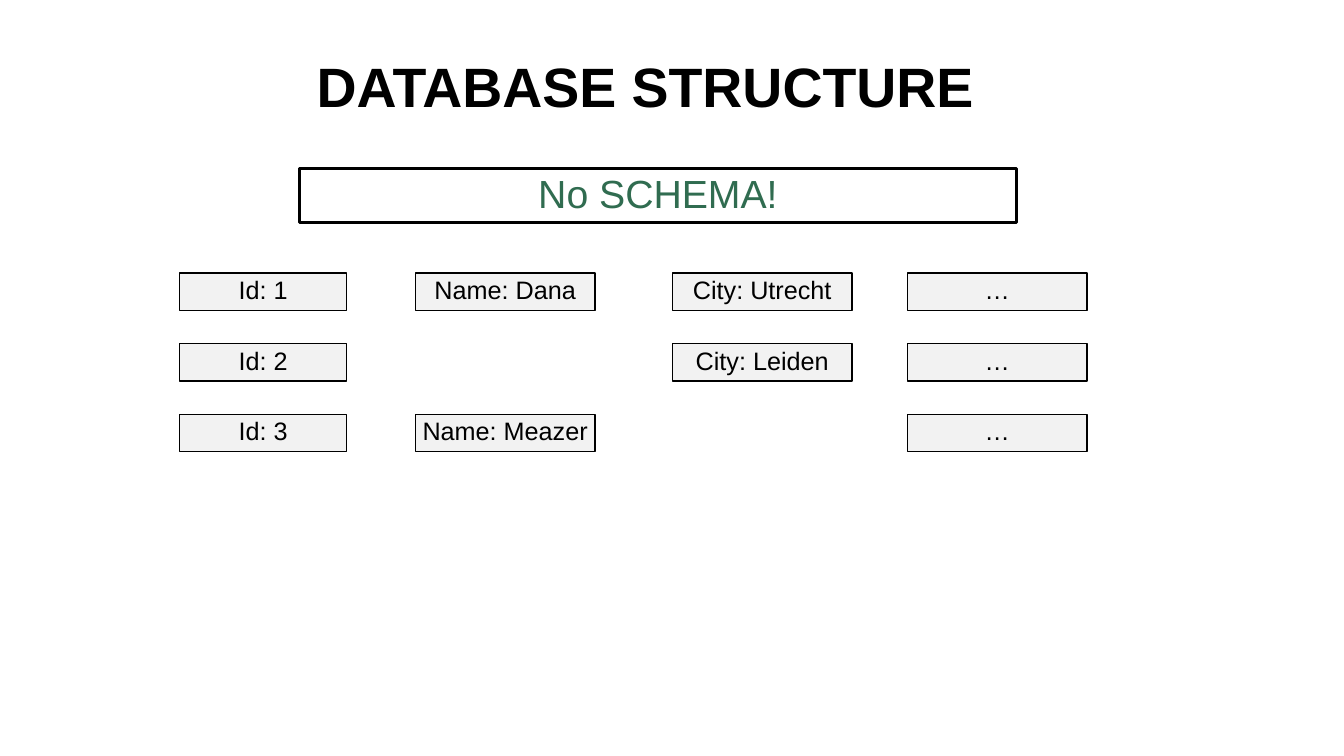
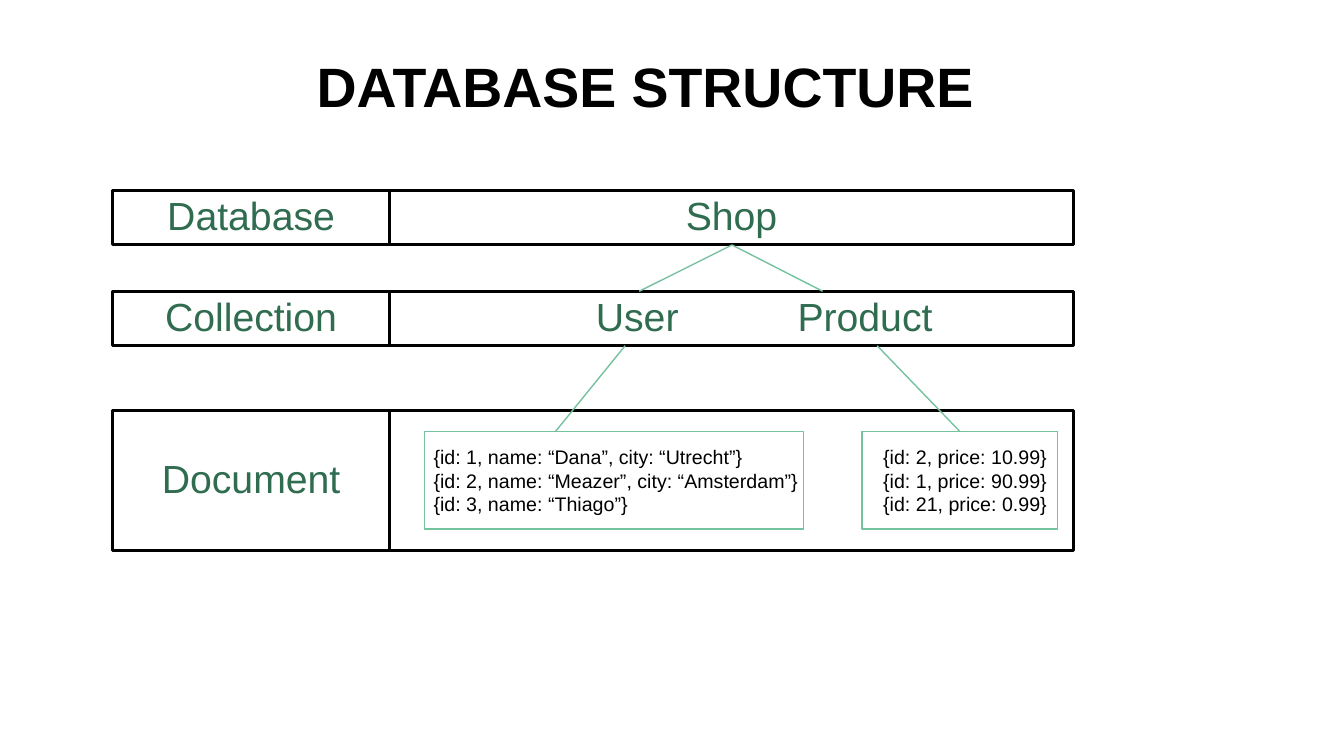
import pptx
import pptx.dml.color
import pptx.enum.shapes
import pptx.enum.text
import pptx.oxml.ns
import pptx.util
from lxml import etree

RGBColor = pptx.dml.color.RGBColor
ALIGN = pptx.enum.text.PP_ALIGN
ANCHOR = pptx.enum.text.MSO_ANCHOR

BLACK = RGBColor(0x00, 0x00, 0x00)
WHITE = RGBColor(0xFF, 0xFF, 0xFF)
GREEN = RGBColor(0x30, 0x6C, 0x50)
MINT = RGBColor(0x75, 0xC2, 0x9E)
PALE_GREY = RGBColor(0xF2, 0xF2, 0xF2)

FONT = "Arial"
TITLE = "DATABASE STRUCTURE"
TITLE_BOX = (309, 44, 688, 89)
INSET = 5


def px(length):
    """One px is a hundredth of an inch."""
    return pptx.util.Emu(length * 9144)


def write(shape, text, size, color, align=ALIGN.CENTER, anchor=ANCHOR.MIDDLE,
          bold=False, spacing=0.9, left=INSET, right=INSET, tabs=()):
    frame = shape.text_frame
    frame.text = text
    frame.word_wrap = True
    frame.auto_size = pptx.enum.text.MSO_AUTO_SIZE.NONE
    frame.vertical_anchor = anchor
    frame.margin_left, frame.margin_right = px(left), px(right)
    frame.margin_top = frame.margin_bottom = px(INSET)
    for paragraph in frame.paragraphs:
        if tabs:
            tab_list = etree.SubElement(paragraph._p.get_or_add_pPr(),
                                        pptx.oxml.ns.qn("a:tabLst"))
            for stop in tabs:
                etree.SubElement(tab_list, pptx.oxml.ns.qn("a:tab"),
                                 pos=str(px(stop)), algn="l")
        paragraph.alignment = align
        paragraph.line_spacing = spacing
        for run in paragraph.runs:
            run.font.name = FONT
            run.font.size = pptx.util.Pt(size)
            run.font.bold = bold
            run.font.color.rgb = color


def add_titled_slide(deck):
    slide = deck.slides.add_slide(deck.slide_layouts[5])
    title = slide.shapes.title
    title.left, title.top, title.width, title.height = map(px, TITLE_BOX)
    write(title, TITLE, 39.6, BLACK, ALIGN.LEFT, bold=True)
    return slide


def add_box(slide, box, line, weight, fill=None):
    shape = slide.shapes.add_shape(
        pptx.enum.shapes.MSO_SHAPE.RECTANGLE, *map(px, box))
    shape.shadow.inherit = False
    if fill is None:
        shape.fill.background()
    else:
        shape.fill.solid()
        shape.fill.fore_color.rgb = fill
    shape.line.color.rgb = line
    shape.line.width = pptx.util.Pt(weight)
    return shape


def add_heading_box(slide, box, text, **style):
    heading = add_box(slide, box, BLACK, 2.25)
    if text:
        write(heading, text, 28, GREEN, **style)


def add_link(slide, start, end):
    link = slide.shapes.add_connector(
        pptx.enum.shapes.MSO_CONNECTOR.STRAIGHT, *map(px, start + end))
    link.line.color.rgb = MINT
    link.line.width = pptx.util.Pt(1)
    etree.SubElement(link._element.spPr, pptx.oxml.ns.qn("a:effectLst"))


def add_field_grid(slide, top, columns, rows):
    """Each column is (left, width); an empty field leaves a gap."""
    for index, fields in enumerate(rows):
        for (left, width), field in zip(columns, fields):
            if field:
                cell = add_box(slide, (left, top + 70 * index, width, 37),
                               BLACK, 1, PALE_GREY)
                write(cell, field, 18, BLACK, anchor=ANCHOR.TOP)


def add_level(slide, left, top, height, label, content="", **style):
    """One level of the hierarchy: its label and its content."""
    label_width, content_width = 274, 679
    add_heading_box(slide, (left, top, label_width, height), label)
    add_heading_box(slide, (left + label_width, top, content_width, height),
                    content, **style)


def add_records(slide, box, records, indent):
    panel = add_box(slide, box, MINT, 1, WHITE)
    write(panel, "\n".join(records), 14, BLACK, ALIGN.LEFT,
          spacing=1.0, left=indent, right=0)


def build_schema_slide(deck):
    slide = add_titled_slide(deck)
    add_heading_box(slide, (297, 167, 711, 54), "No SCHEMA!")
    add_field_grid(
        slide, 271,
        [(178, 166), (412, 178), (667, 178), (900, 178)],
        [("Id: 1", "Name: Dana", "City: Utrecht", "…"),
         ("Id: 2", "", "City: Leiden", "…"),
         ("Id: 3", "Name: Meazer", "", "…")])


def build_hierarchy_slide(deck):
    slide = add_titled_slide(deck)
    # Levels
    left = 112
    add_level(slide, left, 189, 54, "Database", "Shop")
    add_level(slide, left, 289, 54, "Collection", "\tUser\tProduct",
              align=ALIGN.LEFT, tabs=(200, 400))
    add_level(slide, left, 407, 139, "Document")
    # Records of each collection
    add_records(slide, (421, 428, 376, 97),
                ["{id: 1, name: “Dana”, city: “Utrecht”}",
                 "{id: 2, name: “Meazer”, city: “Amsterdam”}",
                 "{id: 3, name: “Thiago”}"], 9)
    add_records(slide, (855, 428, 194, 97),
                ["{id: 2, price: 10.99}",
                 "{id: 1, price: 90.99}",
                 "{id: 21, price: 0.99}"], 21)
    # Links from level to level
    shop = (726, 243)
    for start, end in [(shop, (634, 289)), (shop, (816, 289)),
                       ((620, 343), (551, 428)), ((870, 343), (952, 428))]:
        add_link(slide, start, end)


def main():
    deck = pptx.Presentation()
    deck.slide_width, deck.slide_height = px(1333), px(750)
    build_schema_slide(deck)
    build_hierarchy_slide(deck)
    deck.save("out.pptx")


if __name__ == "__main__":
    main()
